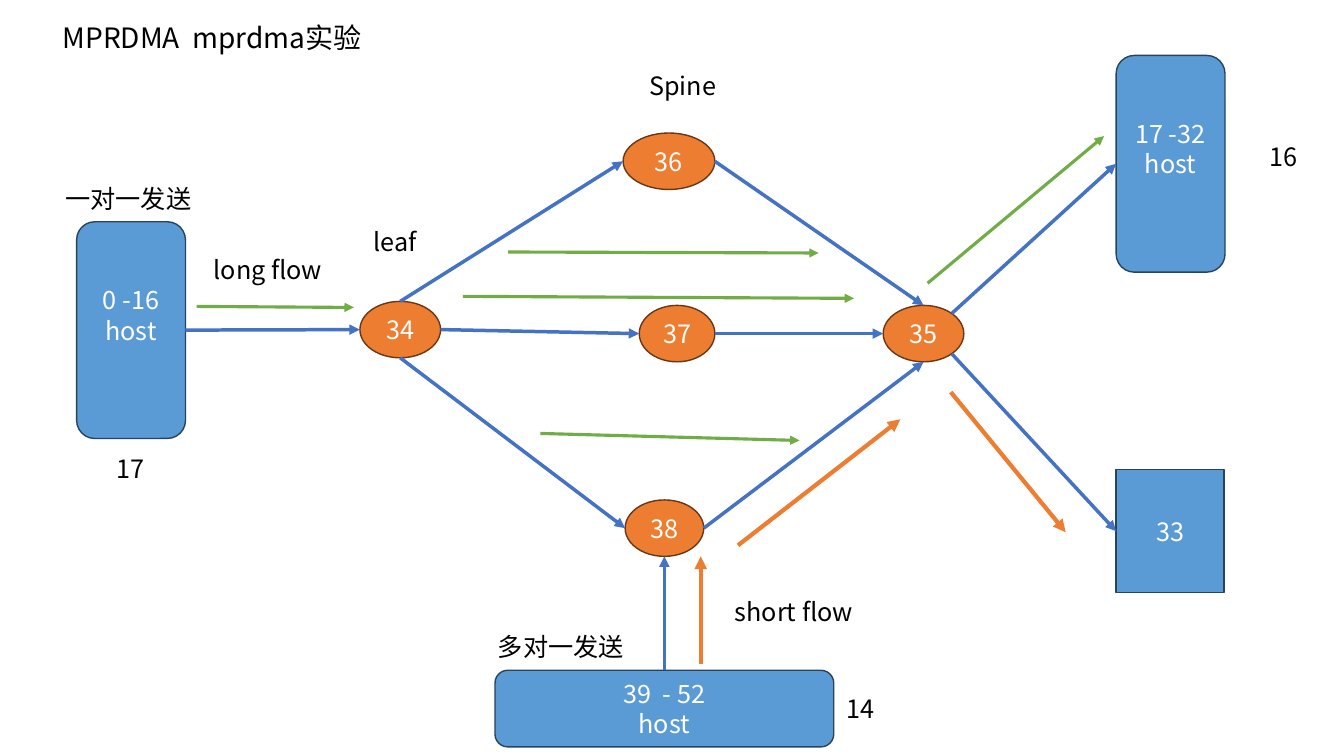
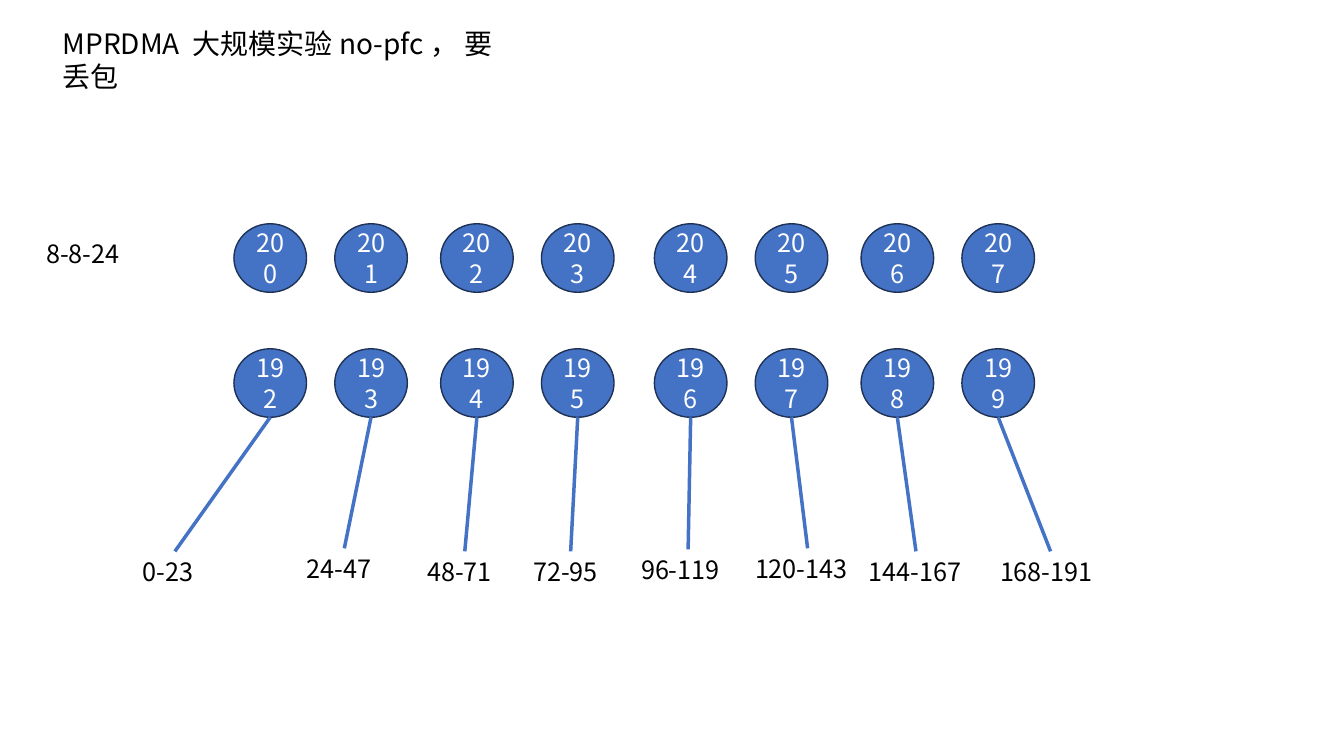
"""Build two network topology slides: a leaf-spine flow test and a large-scale test."""
import lxml.etree
import pptx
import pptx.dml.color
import pptx.enum.shapes
import pptx.enum.text
import pptx.oxml.ns
import pptx.util

PX = 9144
FONT = "Noto Sans CJK SC"
BLUE, ORANGE, GREEN = "4472C4", "ED7D31", "70AD47"
hex_color = pptx.dml.color.RGBColor.from_string
qn = pptx.oxml.ns.qn
SHAPE = pptx.enum.shapes.MSO_SHAPE
ALIGN = pptx.enum.text.PP_ALIGN
ANCHOR = pptx.enum.text.MSO_ANCHOR

PLAIN = {"size": 18, "color": "000000", "align": ALIGN.LEFT, "anchor": ANCHOR.TOP}
TITLE = PLAIN | {"size": 20}
FILLED = {"size": 18, "color": "FFFFFF", "align": ALIGN.CENTER, "anchor": ANCHOR.MIDDLE}
HOST = FILLED | {"fill": "5B9BD5", "line": "28445D"}
RAISED_HOST = HOST | {"bottom": 35}
SWITCH = FILLED | {"fill": ORANGE, "line": "683715"}
CIRCLE = FILLED | {"fill": BLUE, "line": "1E3256"}


def put_box(page, kind, at, text, look):
    """Place a title, a text box or a filled shape and format its text."""
    place = [value * PX for value in at]
    if kind == "title":
        box = page.shapes.title
    elif kind == "text":
        box = page.shapes.add_textbox(*place)
    else:
        box = page.shapes.add_shape(kind, *place)
        box.shadow.inherit = False
        box.fill.solid()
        box.fill.fore_color.rgb = hex_color(look["fill"])
        box.line.color.rgb = hex_color(look["line"])
        box.line.width = pptx.util.Pt(1)
    for name, value in zip(("left", "top", "width", "height"), place):
        setattr(box, name, value)
    frame = box.text_frame
    frame.text = text
    frame_format = {
        "word_wrap": True,
        "auto_size": pptx.enum.text.MSO_AUTO_SIZE.NONE,
        "vertical_anchor": look["anchor"],
        "margin_bottom": look.get("bottom", 5) * PX,
    }
    for name, value in frame_format.items():
        setattr(frame, name, value)
    for para in frame.paragraphs:
        para.alignment = look["align"]
        for span in para.runs:
            span.font.size = pptx.util.Pt(look["size"])
            span.font.color.rgb = hex_color(look["color"])
            span.font.name = FONT
            lxml.etree.SubElement(span._r.get_or_add_rPr(), qn("a:ea"), typeface=FONT)
    return box


def put_line(page, start, end, color, width, arrow=True):
    """Draw a straight connector between two points."""
    line = page.shapes.add_connector(
        pptx.enum.shapes.MSO_CONNECTOR.STRAIGHT, *[value * PX for value in (*start, *end)])
    line.line.color.rgb = hex_color(color)
    line.line.width = pptx.util.Pt(width)
    if arrow:
        lxml.etree.SubElement(line.line._get_or_add_ln(), qn("a:tailEnd"), type="triangle")
    lxml.etree.SubElement(line._element.spPr, qn("a:effectLst"))
    return line


deck = pptx.Presentation()
deck.slide_width, deck.slide_height = 1333 * PX, 750 * PX
flow_page, scale_page = [deck.slides.add_slide(deck.slide_layouts[5]) for _ in range(2)]

put_box(flow_page, "title", (52, 15, 432, 44), "MPRDMA  mprdma实验", TITLE)
nodes = {
    "senders": (SHAPE.ROUNDED_RECTANGLE, (76, 220, 108, 215), "0 -16\vhost", RAISED_HOST),
    "34": (SHAPE.OVAL, (357, 299, 80, 56), "34", SWITCH),
    "37": (SHAPE.OVAL, (634, 303, 75, 56), "37", SWITCH),
    "36": (SHAPE.OVAL, (618, 132, 91, 56), "36", SWITCH),
    "38": (SHAPE.OVAL, (620, 496, 78, 56), "38", SWITCH),
    "35": (SHAPE.OVAL, (876, 303, 80, 56), "35", SWITCH),
    "incast": (SHAPE.ROUNDED_RECTANGLE, (491, 665, 336, 76), "39  - 52\vhost", HOST),
    "receivers": (SHAPE.ROUNDED_RECTANGLE, (1107, 55, 108, 215), "17 -32\vhost", RAISED_HOST),
    "33": (SHAPE.RECTANGLE, (1107, 466, 107, 122), "33", HOST),
}
boxes = {name: put_box(flow_page, *node) for name, node in nodes.items()}

sides = {
    "top": (0.5, 0), "left": (0, 0.5), "bottom": (0.5, 1), "right": (1, 0.5),
    "upper right": (0.85, 0.15), "lower right": (0.85, 0.85),
}
links = [
    ("incast", "top", "38", "bottom"),
    ("38", "right", "35", "bottom"),
    ("37", "right", "35", "left"),
    ("36", "right", "35", "top"),
    ("34", "top", "36", "left"),
    ("34", "right", "37", "left"),
    ("34", "bottom", "38", "left"),
    ("senders", "right", "34", "left"),
    ("35", "upper right", "receivers", "left"),
    ("35", "lower right", "33", "left"),
]
for source, source_side, target, target_side in links:
    points = []
    for name, side in ((source, source_side), (target, target_side)):
        left, top, width, height = nodes[name][1]
        across, down = sides[side]
        points.append((round(left + across * width), round(top + down * height)))
    link = put_line(flow_page, *points, BLUE, 2.5)
    for join, name, side in ((link.begin_connect, source, source_side),
                             (link.end_connect, target, target_side)):
        if nodes[name][0] != SHAPE.OVAL:
            join(boxes[name], list(sides).index(side))

flows = {
    (ORANGE, 3): [
        ((695, 659), (695, 552)), ((732, 541), (893, 416)), ((943, 389), (1057, 528)),
    ],
    (GREEN, 2.25): [
        ((504, 250), (812, 251)), ((459, 294), (847, 296)), ((536, 430), (793, 437)),
        ((195, 304), (351, 305)), ((920, 281), (1095, 135)),
    ],
}
for (color, width), arrows in flows.items():
    for start, end in arrows:
        put_line(flow_page, start, end, color, width)

captions = [
    ("long flow", 202, 247, 138),
    ("short flow", 719, 587, 138),
    ("一对一发送", 55, 177, 172),
    ("多对一发送", 484, 621, 172),
    ("leaf", 361, 220, 80),
    ("Spine", 634, 65, 111),
    ("16", 1249, 135, 57),
    ("17", 106, 445, 57),
    ("14", 830, 683, 93),
]
for text, left, top, width in captions:
    put_box(flow_page, "text", (left, top, width, 40), text, PLAIN)

put_box(scale_page, "title", (52, 21, 469, 77), "MPRDMA  大规模实验 no-pfc ， 要丢包", TITLE)
put_box(scale_page, "text", (36, 232, 111, 40), "8-8-24", PLAIN)
circle_lefts = [pair_left + step for pair_left in (232, 437, 649, 854) for step in (0, 100)]
for first_number, top in ((200, 222), (192, 346)):
    for index, left in enumerate(circle_lefts):
        put_box(scale_page, SHAPE.OVAL, (left, top, 72, 68), str(first_number + index), CIRCLE)

range_places = [
    (132, 547, 83), (294, 544, 95), (414, 547, 94), (519, 547, 94),
    (626, 545, 113), (739, 544, 124), (852, 547, 113), (982, 547, 120),
]
for index, (left, top, width) in enumerate(range_places):
    text = f"{index * 24}-{index * 24 + 23}"
    label = put_box(scale_page, "text", (left, top, width, 40), text, PLAIN)
    line = put_line(scale_page, (circle_lefts[index] + 36, 414), (left + width // 2, top),
                    BLUE, 2.5, arrow=False)
    line.end_connect(label, 0)

deck.save("out.pptx")
